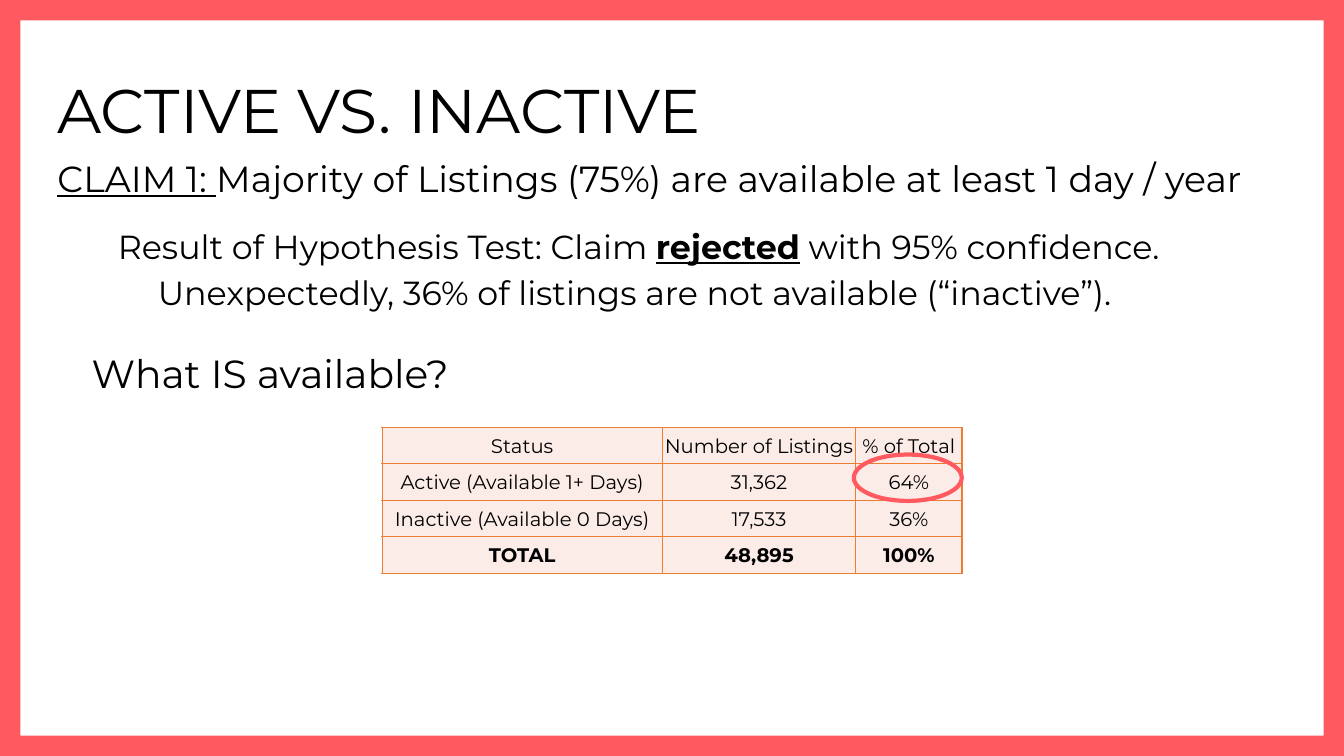
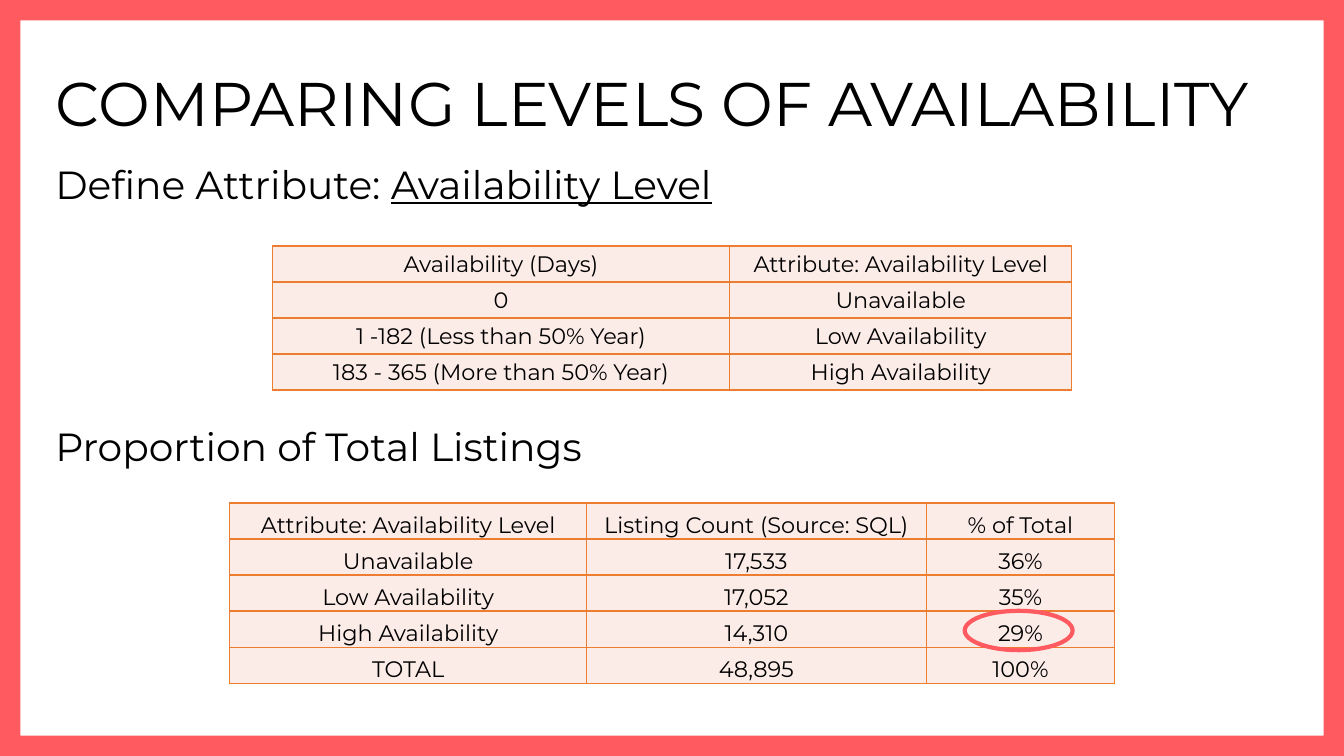
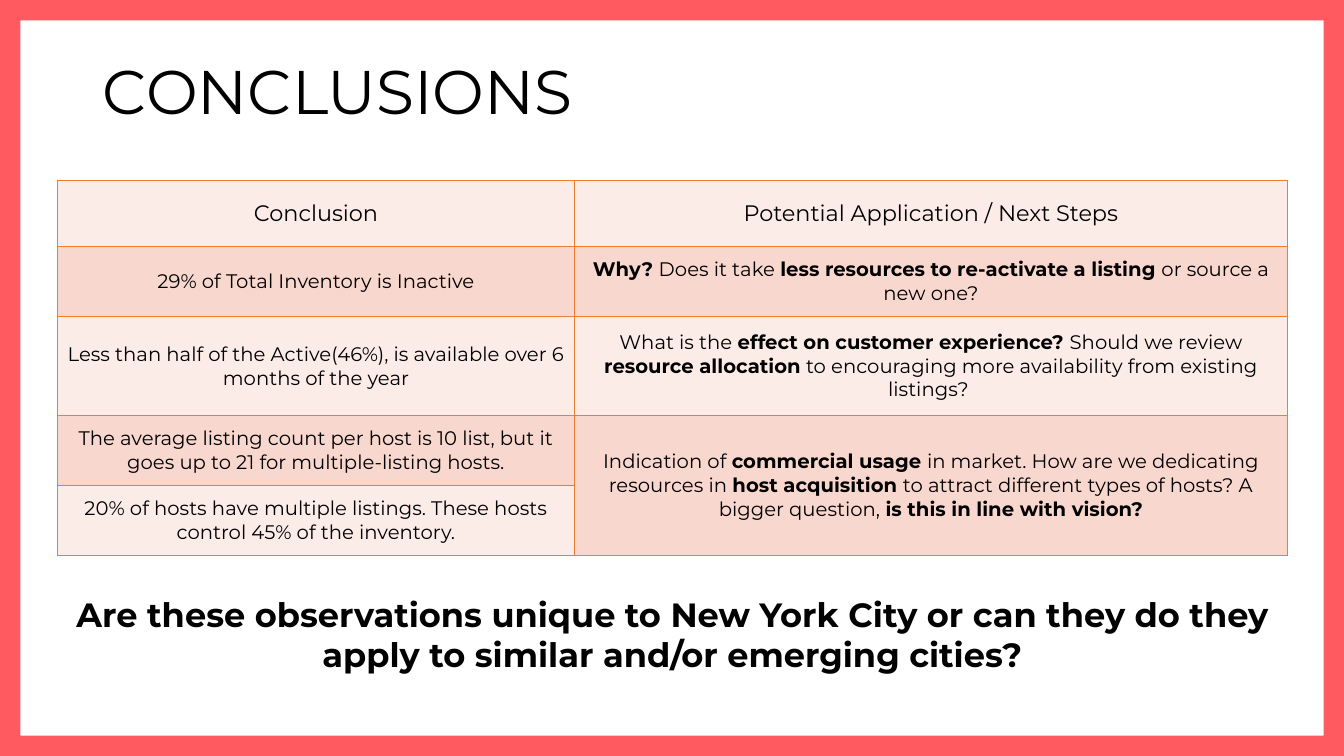
from dataclasses import dataclass
from itertools import chain
from typing import NamedTuple

from lxml.etree import SubElement
from pptx import Presentation
from pptx.dml.color import RGBColor
from pptx.enum.shapes import MSO_SHAPE as Preset
from pptx.enum.text import MSO_ANCHOR as Anchor, PP_ALIGN as Align
from pptx.oxml.ns import qn
from pptx.util import Emu, Inches, Pt

COLOURS = {"coral": "FF5A5F", "orange": "ED7D31", "pale": "FCECE8",
           "rose": "F8D7CE", "ink": "000000"}
FONT = "Montserrat"
SLIDE_WIDTH, SLIDE_HEIGHT = Inches(13.333), Inches(7.5)
TITLE_HEIGHT = 19.33
FRAME_SHARE = 0.027


class Run(NamedTuple):
    """A stretch of text with one style."""
    text: str
    bold: bool = False
    underline: bool = False


class Box(NamedTuple):
    """A place on the slide, in percent of its width and height."""
    left: float
    top: float
    width: float
    height: float


Words = str | tuple[Run, ...]


@dataclass(frozen=True)
class TextBlock:
    """Paragraphs that share a size, an alignment and spacing."""
    box: Box
    paragraphs: tuple[Words, ...]
    size: float = 28
    align: Align = Align.LEFT
    anchor: Anchor = Anchor.TOP
    spacing: float = 0.9
    before: float = 10


@dataclass(frozen=True)
class Grid:
    """A table; column widths and row heights are percent of the slide."""
    left: float
    top: float
    columns: tuple[float, ...]
    heights: tuple[float, ...]
    rows: tuple[tuple[Words, ...], ...]
    size: float = 16
    header_size: float = 16
    anchor: Anchor = Anchor.MIDDLE
    tight: bool = True
    banded: bool = False
    merge: tuple[int, int, int] | None = None  # column, first row, last row


@dataclass(frozen=True)
class Page:
    """Everything on one slide; rings are drawn above the tables."""
    texts: tuple[TextBlock, ...]
    grids: tuple[Grid, ...]
    rings: tuple[Box, ...] = ()


def across(percent: float) -> Emu:
    """Turn a percentage of the slide's width into a length."""
    return Emu(round(SLIDE_WIDTH * percent / 100))


def down(percent: float) -> Emu:
    """Turn a percentage of the slide's height into a length."""
    return Emu(round(SLIDE_HEIGHT * percent / 100))


def place(box: Box) -> tuple[Emu, Emu, Emu, Emu]:
    """Turn a box into the lengths that python-pptx takes."""
    return across(box.left), down(box.top), across(box.width), down(box.height)


def colour(name: str) -> RGBColor:
    """Look up a colour by name."""
    return RGBColor.from_string(COLOURS[name])


def title(text: str, left: float, top: float, width: float = 86.25) -> TextBlock:
    """Describe a slide title in the shared style."""
    return TextBlock(Box(left, top, width, TITLE_HEIGHT), (text,), 44,
                     anchor=Anchor.MIDDLE, before=0)


def write(paragraph, words: Words, size: float) -> None:
    """Add words to a paragraph run by run."""
    for part in (Run(words),) if isinstance(words, str) else words:
        run = paragraph.add_run()
        run.text = part.text
        font = run.font
        font.name, font.size = FONT, Pt(size)
        font.bold, font.underline = part.bold, part.underline
        font.color.rgb = colour("ink")


def draw_text(slide, block: TextBlock) -> None:
    """Draw a text block."""
    frame = slide.shapes.add_textbox(*place(block.box)).text_frame
    frame.word_wrap = True
    frame.vertical_anchor = block.anchor
    for index, words in enumerate(block.paragraphs):
        paragraph = frame.add_paragraph() if index else frame.paragraphs[0]
        paragraph.alignment = block.align
        paragraph.line_spacing = block.spacing
        paragraph.space_before = Pt(block.before)
        write(paragraph, words, block.size)


def draw_frame(slide) -> None:
    """Draw the coral frame round the slide."""
    border = slide.shapes.add_shape(Preset.FRAME, 0, 0, SLIDE_WIDTH, SLIDE_HEIGHT)
    border.adjustments[0] = FRAME_SHARE
    border.shadow.inherit = False
    border.fill.solid()
    border.fill.fore_color.rgb = colour("coral")
    border.line.fill.background()


def draw_ring(slide, box: Box) -> None:
    """Draw a ring that marks a key figure."""
    ring = slide.shapes.add_shape(Preset.OVAL, *place(box))
    ring.shadow.inherit = False
    ring.fill.background()
    ring.line.color.rgb = colour("coral")
    ring.line.width = Pt(3)


def rule_cell(cell) -> None:
    """Give a cell thin orange borders on all sides."""
    properties = cell._tc.get_or_add_tcPr()
    for index, side in enumerate(("a:lnL", "a:lnR", "a:lnT", "a:lnB")):
        line = SubElement(properties, qn(side), w=str(Pt(1)))
        fill = SubElement(line, qn("a:solidFill"))
        SubElement(fill, qn("a:srgbClr"), val=COLOURS["orange"])
        properties.insert(index, line)


def draw_grid(slide, grid: Grid) -> None:
    """Draw a table with its fills, borders and text."""
    box = Box(grid.left, grid.top, sum(grid.columns), sum(grid.heights))
    table = slide.shapes.add_table(
        len(grid.rows), len(grid.columns), *place(box)).table
    table.first_row = table.horz_banding = False
    for column, width in zip(table.columns, grid.columns):
        column.width = across(width)
    for row, height in zip(table.rows, grid.heights):
        row.height = down(height)
    if grid.merge:
        column, first, last = grid.merge
        table.cell(first, column).merge(table.cell(last, column))
    for r, row in enumerate(grid.rows):
        for c in range(len(grid.columns)):
            cell = table.cell(r, c)
            cell.fill.solid()
            cell.fill.fore_color.rgb = colour(
                "rose" if grid.banded and r % 2 else "pale")
            rule_cell(cell)
            cell.vertical_anchor = grid.anchor
            if grid.tight:
                cell.margin_left = cell.margin_right = cell.margin_top = Inches(0.01)
                cell.margin_bottom = 0
            if c < len(row):
                paragraph = cell.text_frame.paragraphs[0]
                paragraph.alignment = Align.CENTER
                write(paragraph, row[c], grid.size if r else grid.header_size)


def draw_page(deck, page: Page) -> None:
    """Add a slide and draw all its parts."""
    slide = deck.slides.add_slide(deck.slide_layouts[6])
    draw_frame(slide)
    for block in page.texts:
        draw_text(slide, block)
    for grid in page.grids:
        draw_grid(slide, grid)
    for ring in page.rings:
        draw_ring(slide, ring)


def bold_row(*texts: str) -> tuple[Words, ...]:
    """Make a table row of bold cells."""
    return tuple((Run(text, bold=True),) for text in texts)


def alternate(*texts: str, bold_first: bool = False) -> tuple[Run, ...]:
    """Make runs that switch between plain and bold."""
    return tuple(Run(text, bold=bool(i % 2) != bold_first)
                 for i, text in enumerate(texts))


ACTIVE = Page(
    texts=(
        title("ACTIVE VS. INACTIVE", 3.53, 5.33),
        TextBlock(Box(3.53, 20.67, 95.55, 8.13), ((
            Run("CLAIM 1: ", underline=True),
            Run("Majority of Listings (75%) are available at least 1 day / year"),
        ),), 25.9),
        TextBlock(Box(6.9, 30.27, 81.23, 12), (
            (Run("Result of Hypothesis Test: Claim "),
             Run("rejected", bold=True, underline=True),
             Run(" with 95% confidence.")),
            "Unexpectedly, 36% of listings are not available (“inactive”). ",
        ), 23.8, Align.CENTER, spacing=0.8),
        TextBlock(Box(6.08, 46.27, 81.23, 8.13), ("What IS available?",)),
    ),
    grids=(Grid(28.43, 56.53, (20.85, 14.4, 7.9), (4.83,) * 4, (
        ("Status", "Number of Listings", "% of Total"),
        ("Active (Available 1+ Days)", "31,362", "64%"),
        ("Inactive (Available 0 Days)", "17,533", "36%"),
        bold_row("TOTAL", "48,895", "100%"),
    ), size=14, header_size=14),),
    rings=(Box(63.53, 60.13, 8.03, 6.13),),
)

LEVELS = Page(
    texts=(
        title("COMPARING LEVELS OF AVAILABILITY", 3.38, 4.4, 93.38),
        TextBlock(Box(3.38, 21.2, 86.25, 10.67), ((
            Run("Define Attribute: "), Run("Availability Level", underline=True)),)),
        TextBlock(Box(3.38, 55.87, 86.25, 10.67), ("Proportion of Total Listings",)),
    ),
    grids=(
        Grid(20.25, 32.53, (34.05, 25.45), (4.77,) * 4, (
            ("Availability (Days)", "Attribute: Availability Level"),
            ("0", "Unavailable"),
            ("1 -182 (Less than 50% Year)", "Low Availability"),
            ("183 - 365 (More than 50% Year)", "High Availability"),
        )),
        Grid(17.1, 66.53, (26.55, 25.27, 14.03), (4.77,) * 5, (
            ("Attribute: Availability Level", "Listing Count (Source: SQL)",
             "% of Total"),
            ("Unavailable", "17,533", "36%"),
            ("Low Availability", "17,052", "35%"),
            ("High Availability", "14,310", "29%"),
            ("TOTAL", "48,895", "100%"),
        ), anchor=Anchor.BOTTOM),
    ),
    rings=(Box(71.78, 80.8, 8.03, 5.2),),
)

CONCLUSIONS = Page(
    texts=(
        title("CONCLUSIONS", 6.9, 2.8),
        TextBlock(Box(4.28, 77.87, 91.5, 17.47), (
            bold_row("Are these observations unique to New York City or can they "
                     "do they apply to similar and/or emerging cities?")),
            24, Align.CENTER, spacing=1, before=0),
    ),
    grids=(Grid(4.28, 23.87, (38.48, 53.03), (8.75, 9.26, 13.1, 9.26, 9.26), (
        ("Conclusion", "Potential Application / Next Steps"),
        ("29% of Total Inventory is Inactive",
         alternate("Why? ", "Does it take ",
                   "less resources to re-activate a listing ",
                   "or source a new one?", bold_first=True)),
        ("Less than half of the Active(46%), is available over 6 months of the year",
         alternate("What is the ", "effect on customer experience? ",
                   "Should we review ", "resource allocation",
                   " to encouraging more availability from existing listings? ")),
        ("The average listing count per host is 10 list, but it goes up to 21 "
         "for multiple-listing hosts.",
         alternate("Indication of ", "commercial usage ",
                   "in market. How are we dedicating resources in ",
                   "host acquisition ",
                   "to attract different types of hosts? A bigger question, ",
                   "is this in line with vision?")),
        ("20% of hosts have multiple listings. These hosts control 45% of the "
         "inventory.",),
    ), size=14, tight=False, banded=True, merge=(1, 3, 4)),),
)


def main() -> None:
    """Build and save the deck."""
    deck = Presentation()
    deck.slide_width, deck.slide_height = SLIDE_WIDTH, SLIDE_HEIGHT
    for page in (ACTIVE, LEVELS, CONCLUSIONS):
        draw_page(deck, page)
    deck.save("out.pptx")


main()
